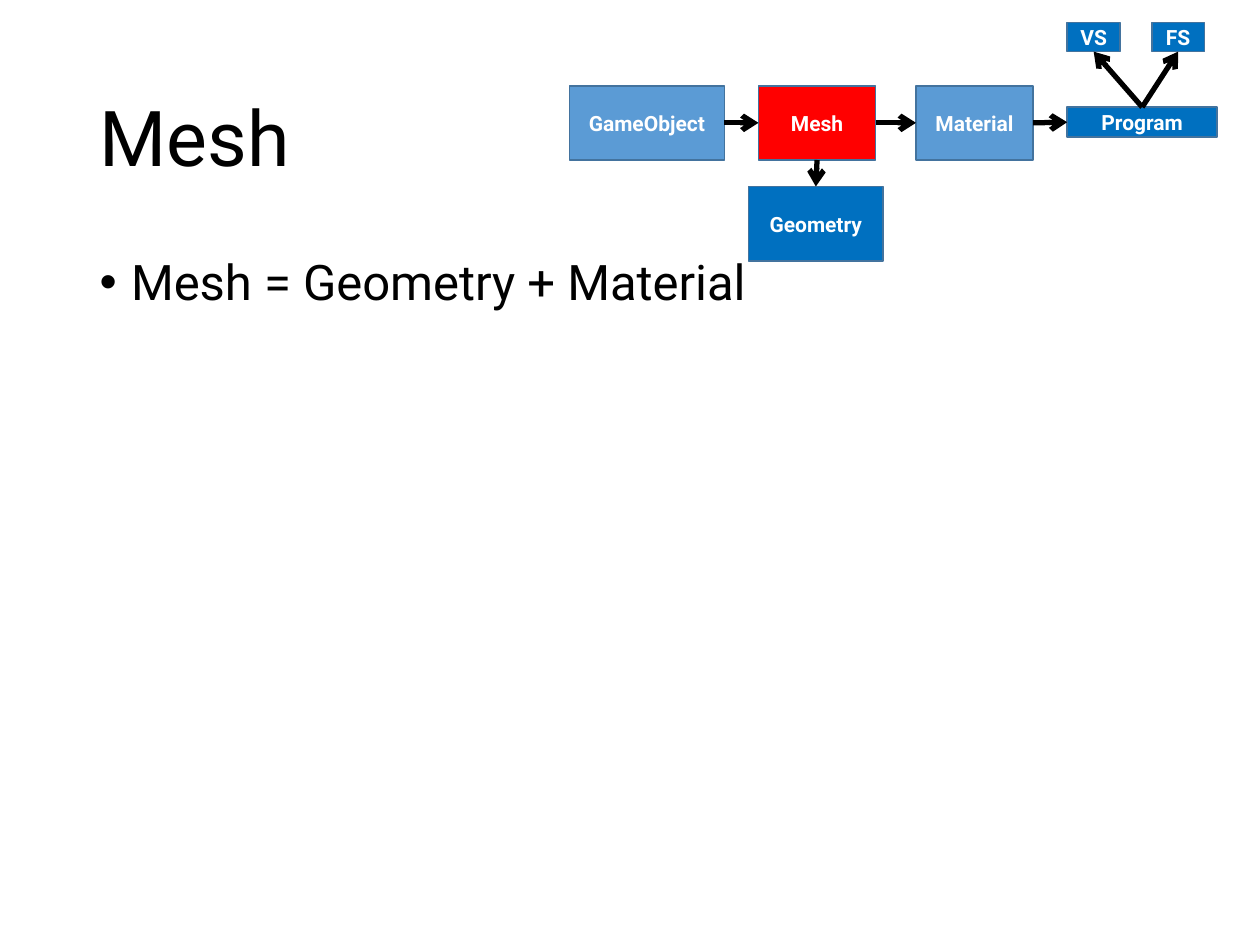
from dataclasses import dataclass

from lxml import etree
from pptx import Presentation
from pptx.dml.color import RGBColor
from pptx.enum.shapes import MSO_CONNECTOR, MSO_SHAPE
from pptx.enum.text import MSO_ANCHOR, MSO_AUTO_SIZE, PP_ALIGN
from pptx.oxml.ns import qn
from pptx.shapes.autoshape import Shape
from pptx.shapes.shapetree import GroupShapes
from pptx.text.text import TextFrame
from pptx.util import Inches, Pt

RECTANGLE = MSO_SHAPE.RECTANGLE
STRAIGHT = MSO_CONNECTOR.STRAIGHT
MIDDLE, TOP_ANCHOR = MSO_ANCHOR.MIDDLE, MSO_ANCHOR.TOP
LEFT_ALIGN, CENTER = PP_ALIGN.LEFT, PP_ALIGN.CENTER
TOP, LEFT, BOTTOM, RIGHT = range(4)


@dataclass(frozen=True)
class Theme:
    font: str = "Roboto"
    title_size: int = 44
    body_size: int = 28
    label_size: int = 12
    text: str = "000000"
    label: str = "FFFFFF"
    scene: str = "5B9BD5"
    current: str = "FF0000"
    resource: str = "0070C0"
    outline: str = "43739E"
    arrow: str = "000000"


@dataclass(frozen=True)
class Box:
    label: str
    left: float
    top: float
    width: float
    height: float
    fill: str


@dataclass(frozen=True)
class Arrow:
    start: str
    start_side: int
    end: str
    end_side: int


THEME = Theme()

BOXES = [
    Box("GameObject", 4.52, 0.68, 1.23, 0.59, THEME.scene),
    Box("Mesh", 6.02, 0.68, 0.93, 0.59, THEME.current),
    Box("Geometry", 5.94, 1.48, 1.07, 0.59, THEME.resource),
    Box("Material", 7.27, 0.68, 0.93, 0.59, THEME.scene),
    Box("Program", 8.47, 0.85, 1.19, 0.24, THEME.resource),
    Box("VS", 8.47, 0.18, 0.42, 0.23, THEME.resource),
    Box("FS", 9.14, 0.18, 0.42, 0.23, THEME.resource),
]

ARROWS = [
    Arrow("GameObject", RIGHT, "Mesh", LEFT),
    Arrow("Mesh", BOTTOM, "Geometry", TOP),
    Arrow("Mesh", RIGHT, "Material", LEFT),
    Arrow("Material", RIGHT, "Program", LEFT),
    Arrow("Program", TOP, "VS", BOTTOM),
    Arrow("Program", TOP, "FS", BOTTOM),
]


def write_text(tf: TextFrame, text: str, size: int, color: str,
               align: PP_ALIGN, anchor: MSO_ANCHOR, bold: bool = False) -> None:
    tf.text = text
    tf.vertical_anchor = anchor
    p = tf.paragraphs[0]
    p.alignment = align
    font = p.runs[0].font
    font.name, font.size, font.bold = THEME.font, Pt(size), bold
    font.color.rgb = RGBColor.from_string(color)


def fill_placeholder(sp: Shape, text: str, size: int, top: float,
                     height: float, anchor: MSO_ANCHOR) -> None:
    sp.left, sp.top = Inches(0.69), Inches(top)
    sp.width, sp.height = Inches(8.62), Inches(height)
    write_text(sp.text_frame, text, size, THEME.text, LEFT_ALIGN, anchor)
    sp.text_frame.auto_size = MSO_AUTO_SIZE.NONE
    sp.text_frame.paragraphs[0].line_spacing = 0.9


def format_bullet(sp: Shape) -> None:
    p = sp.text_frame.paragraphs[0]
    p.space_before = Pt(10)
    pPr = p._p.get_or_add_pPr()
    pPr.set("marL", str(Inches(0.25)))
    pPr.set("indent", str(-Inches(0.25)))
    etree.SubElement(pPr, qn("a:buFont"), typeface="Arial")
    etree.SubElement(pPr, qn("a:buChar"), char="•")


def add_box(shapes: GroupShapes, box: Box) -> Shape:
    sp = shapes.add_shape(RECTANGLE, Inches(box.left), Inches(box.top),
                          Inches(box.width), Inches(box.height))
    sp.shadow.inherit = False
    sp.fill.solid()
    sp.fill.fore_color.rgb = RGBColor.from_string(box.fill)
    sp.line.color.rgb = RGBColor.from_string(THEME.outline)
    sp.line.width = Pt(1)
    tf = sp.text_frame
    tf.word_wrap = False
    write_text(tf, box.label, THEME.label_size, THEME.label, CENTER, MIDDLE, bold=True)
    return sp


def add_arrow(shapes: GroupShapes, arrow: Arrow, boxes: dict[str, Shape]) -> None:
    start, end = boxes[arrow.start], boxes[arrow.end]
    line = shapes.add_connector(STRAIGHT, start.left, start.top, end.left, end.top)
    line.begin_connect(start, arrow.start_side)
    line.end_connect(end, arrow.end_side)
    line.line.color.rgb = RGBColor.from_string(THEME.arrow)
    line.line.width = Pt(3)
    etree.SubElement(line.line._get_or_add_ln(), qn("a:tailEnd"), type="arrow")
    etree.SubElement(line._element.spPr, qn("a:effectLst"))


def main() -> None:
    prs = Presentation()
    prs.slide_width, prs.slide_height = Inches(10), Inches(7.5)
    s = prs.slides.add_slide(prs.slide_layouts[1])

    title, body = s.placeholders
    fill_placeholder(title, "Mesh", THEME.title_size, 0.4, 1.45, MIDDLE)
    fill_placeholder(body, "Mesh = Geometry + Material", THEME.body_size,
                     2, 5.43, TOP_ANCHOR)
    format_bullet(body)

    diagram = s.shapes.add_group_shape().shapes
    boxes = {box.label: add_box(diagram, box) for box in BOXES}
    for arrow in ARROWS:
        add_arrow(diagram, arrow, boxes)

    prs.save("out.pptx")


if __name__ == "__main__":
    main()
